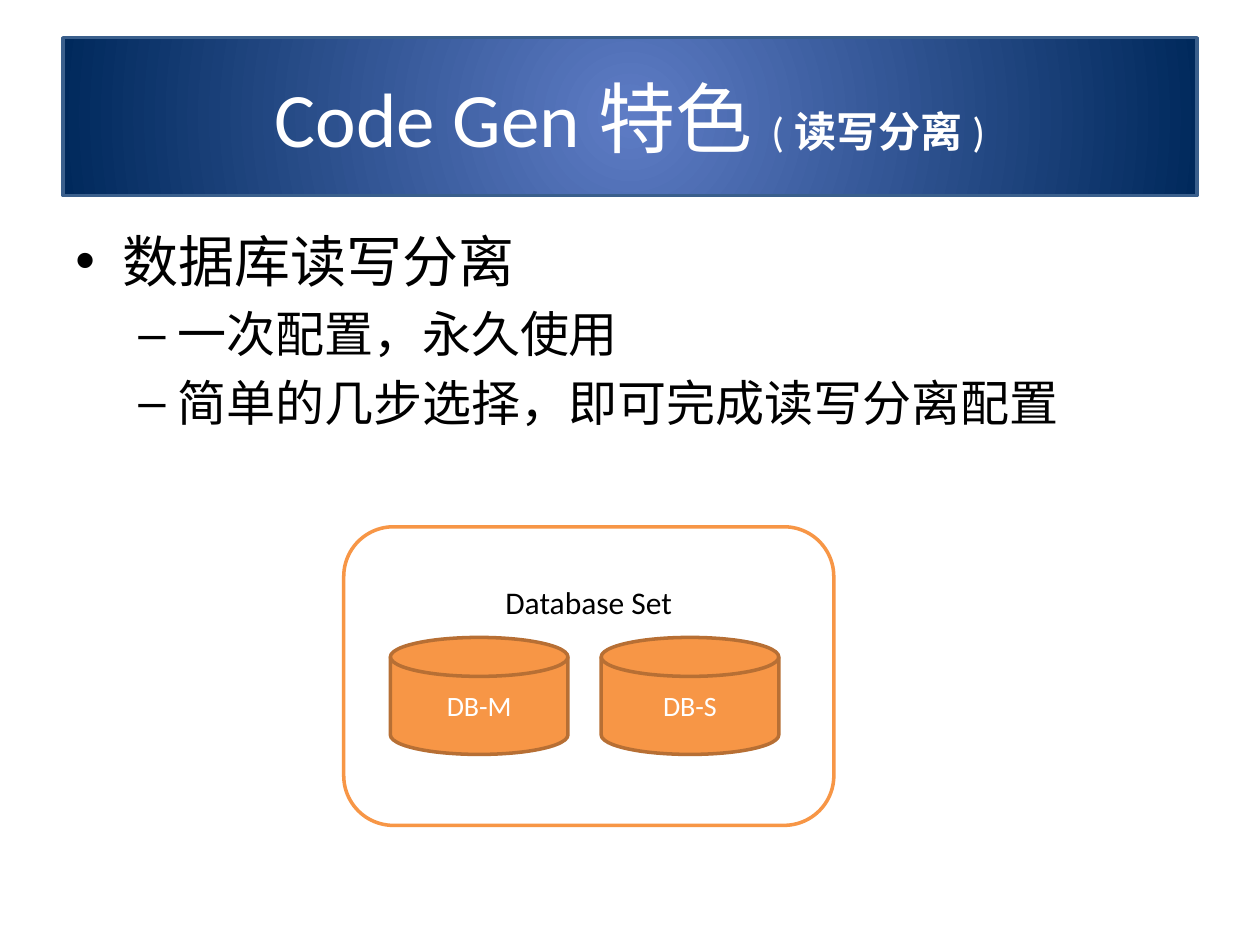
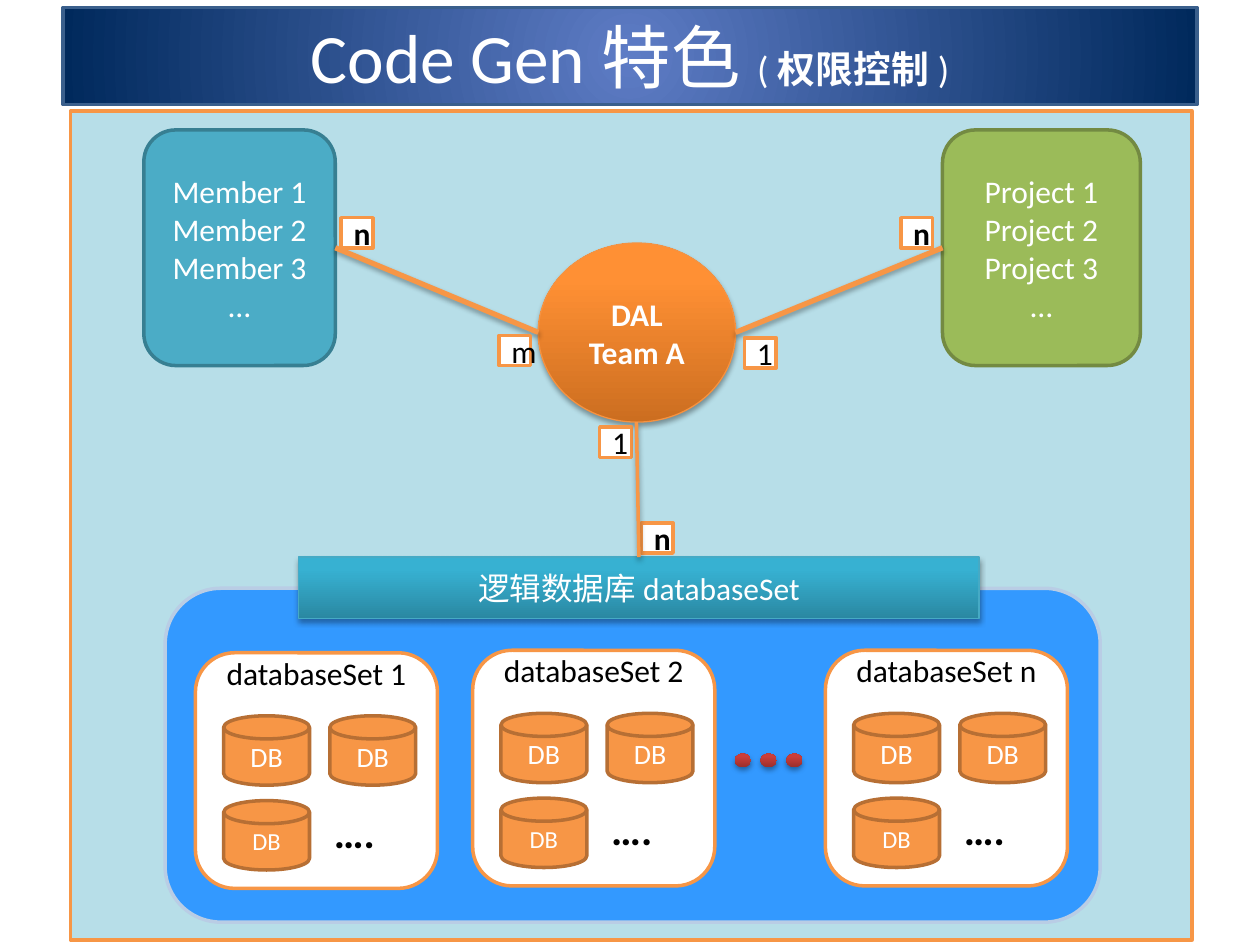
from lxml import etree
from pptx import Presentation
from pptx import util as u
from pptx.dml.color import RGBColor
from pptx.enum import shapes, text
from pptx.oxml import ns

# Colours
WHITE = RGBColor(0xFF, 0xFF, 0xFF)
BLACK = RGBColor(0x00, 0x00, 0x00)
ORANGE = RGBColor(0xF7, 0x96, 0x46)
DARK_ORANGE = RGBColor(0xB7, 0x6F, 0x34)
BAND_CENTRE = RGBColor(0x5E, 0x7C, 0xC5)
BAND_EDGE = RGBColor(0x00, 0x29, 0x5C)
BAND_LINE = RGBColor(0x3A, 0x5F, 0x8C)
PALE_BLUE = RGBColor(0xB7, 0xDE, 0xE8)
TEAL = RGBColor(0x4B, 0xAC, 0xC6)
TEAL_LINE = RGBColor(0x37, 0x7F, 0x92)
GREEN = RGBColor(0x9B, 0xBB, 0x59)
GREEN_LINE = RGBColor(0x73, 0x8A, 0x42)
BLUE = RGBColor(0x33, 0x99, 0xFF)
BLUE_LINE = RGBColor(0xB9, 0xCD, 0xE5)
TEAM_LINE = RGBColor(0xF6, 0x92, 0x40)
BAR_LINE = RGBColor(0x46, 0xAA, 0xC5)
# Gradients run from the bottom colour to the top colour
TEAM_GRADIENT = (RGBColor(0xCC, 0x6E, 0x20), RGBColor(0xFF, 0x90, 0x34))
BAR_GRADIENT = (RGBColor(0x2A, 0x88, 0xA2), RGBColor(0x37, 0xB1, 0xD2))
DOT_GRADIENT = (RGBColor(0x9C, 0x2F, 0x2D), RGBColor(0xCB, 0x3E, 0x3A))

FONT = "Calibri"
TITLE_ONLY = 5
RECTANGLE = shapes.MSO_SHAPE.RECTANGLE
ROUNDED = shapes.MSO_SHAPE.ROUNDED_RECTANGLE
OVAL = shapes.MSO_SHAPE.OVAL
DISK = shapes.MSO_SHAPE.FLOWCHART_MAGNETIC_DISK
LEFT, CENTER = text.PP_ALIGN.LEFT, text.PP_ALIGN.CENTER


def add_xml(parent, tag, **attributes):
    return etree.SubElement(parent, ns.qn(tag), attributes)


class Deck:
    """Holds the shared style and the current slide; lengths are in cm."""

    def __init__(self):
        self.presentation = Presentation()
        self.presentation.slide_width = u.Cm(25.4)
        self.presentation.slide_height = u.Cm(19.05)
        self.slide = None

    def new_slide(self, topic, top, height, size, small_size):
        layout = self.presentation.slide_layouts[TITLE_ONLY]
        self.slide = self.presentation.slides.add_slide(layout)
        title = self.slide.shapes.title
        title.left, title.top = u.Cm(1.27), u.Cm(top)
        title.width, title.height = u.Cm(22.86), u.Cm(height)
        self.gradient(title, (BAND_CENTRE, BAND_EDGE), radial=True)
        self.outline(title, BAND_LINE, 2)
        frame = title.text_frame
        frame.auto_size = text.MSO_AUTO_SIZE.NONE
        frame.vertical_anchor = text.MSO_ANCHOR.MIDDLE
        paragraph = frame.paragraphs[0]
        self.style(paragraph, size, WHITE)
        parts = (("Code Gen特色", size, False), ("(", small_size, False),
                 (topic, small_size, True), (")", small_size, False))
        for words, run_size, bold in parts:
            run = paragraph.add_run()
            run.text = words
            run.font.size = u.Pt(run_size)
            run.font.bold = bold

    def style(self, paragraph, size, color, bold=False, align=CENTER):
        paragraph.alignment = align
        paragraph.font.name = FONT
        paragraph.font.size = u.Pt(size)
        paragraph.font.color.rgb = color
        paragraph.font.bold = bold

    def gradient(self, shape, colors, radial=False):
        shape.fill.gradient()
        shape.fill.gradient_angle = 90
        stops = shape.fill.gradient_stops
        for stop, color, position in zip(stops, colors, (0, 1 if radial else 0.8)):
            stop.color.rgb = color
            stop.position = position
        if radial:
            gradient = shape._element.spPr.find(ns.qn("a:gradFill"))
            gradient.remove(gradient.find(ns.qn("a:lin")))
            circle = add_xml(gradient, "a:path", path="circle")
            add_xml(circle, "a:fillToRect", l="50000", t="50000", r="50000", b="50000")

    def outline(self, shape, color, width):
        if color is None:
            shape.line.fill.background()
        else:
            shape.line.color.rgb = color
            shape.line.width = u.Pt(width)

    def effects(self, shape, shadow):
        effects = add_xml(shape._element.spPr, "a:effectLst")
        if shadow:
            outer = add_xml(effects, "a:outerShdw", blurRad="39400", dist="22900",
                            dir="5400000", rotWithShape="0")
            black = add_xml(outer, "a:srgbClr", val="000000")
            add_xml(black, "a:alpha", val="35000")

    def box(self, kind, left, top, width, height, fill, line, words="", size=18,
            color=WHITE, bold=False, line_width=2, shadow=False):
        shape = self.slide.shapes.add_shape(
            kind, u.Cm(left), u.Cm(top), u.Cm(width), u.Cm(height))
        if isinstance(fill, RGBColor):
            shape.fill.solid()
            shape.fill.fore_color.rgb = fill
        else:
            self.gradient(shape, fill)
        self.outline(shape, line, line_width)
        self.effects(shape, shadow)
        if words:
            shape.text_frame.text = words
            for paragraph in shape.text_frame.paragraphs:
                self.style(paragraph, size, color, bold)
        return shape

    def label(self, left, top, width, height, words, size=18, bold=False):
        shape = self.slide.shapes.add_textbox(
            u.Cm(left), u.Cm(top), u.Cm(width), u.Cm(height))
        frame = shape.text_frame
        frame.word_wrap = True
        frame.margin_top = frame.margin_bottom = 0
        frame.vertical_anchor = text.MSO_ANCHOR.MIDDLE
        frame.text = words
        self.style(frame.paragraphs[0], size, BLACK, bold)

    def bullets(self, left, top, width, height, items):
        shape = self.slide.shapes.add_textbox(
            u.Cm(left), u.Cm(top), u.Cm(width), u.Cm(height))
        frame = shape.text_frame
        frame.word_wrap = True
        frame.text = "\n".join(words for _, words in items)
        # Per level: size, bullet, left margin, hanging indent
        levels = ((32, "•", 0.95, 0.95), (28, "–", 2.06, 0.79))
        for paragraph, (level, _) in zip(frame.paragraphs, items):
            size, bullet, margin, hanging = levels[level]
            paragraph.level = level
            paragraph.space_before = u.Pt(size * 0.2)
            properties = paragraph._p.get_or_add_pPr()
            properties.set("marL", str(u.Cm(margin)))
            properties.set("indent", str(-u.Cm(hanging)))
            add_xml(properties, "a:buFont", typeface="Arial")
            add_xml(properties, "a:buChar", char=bullet)
            self.style(paragraph, size, BLACK, align=LEFT)

    def disk(self, left, top, width, height, words, size=16):
        self.box(DISK, left, top, width, height, ORANGE, DARK_ORANGE, words, size)

    def connect(self, start, target, side, width=3):
        """Draw a line from a point to the middle of a side of the target."""
        x, y = (u.Cm(length) for length in start)
        line = self.slide.shapes.add_connector(
            shapes.MSO_CONNECTOR.STRAIGHT, x, y, x, y)
        line.end_connect(target, side)
        self.outline(line, ORANGE, width)
        self.effects(line, shadow=True)

    def database_set(self, left, top, name):
        self.box(ROUNDED, left, top, 4.88, 4.75, WHITE, ORANGE)
        self.label(left, top, 4.88, 0.8, name)
        for column, row, size in ((0, 0, 16), (1, 0, 16), (0, 1, 14)):
            self.disk(left + 0.57 + 2.14 * column, top + 1.27 + 1.71 * row,
                      1.73, 1.4, "DB", size)
        self.label(left + 2.34, top + 3.1, 1.73, 1, "….", 24, bold=True)


def read_write_slide(deck):
    deck.new_slide("读写分离", 0.76, 3.18, 44, 24)
    deck.bullets(1.27, 4.45, 22.86, 14.07, (
        (0, "数据库读写分离"),
        (1, "一次配置，永久使用"),
        (1, "简单的几步选择，即可完成读写分离配置")))
    # Database set with its two databases
    group = deck.box(ROUNDED, 6.93, 10.62, 9.88, 6.02, WHITE, ORANGE,
                     "Database Set", color=BLACK)
    group.text_frame.vertical_anchor = text.MSO_ANCHOR.TOP
    group.text_frame.margin_top = u.Cm(0.85)
    for index, name in enumerate(("DB-M", "DB-S")):
        deck.disk(7.87 + 4.25 * index, 12.85, 3.58, 2.36, name)


def permission_slide(deck):
    deck.new_slide("权限控制", 0.15, 1.96, 39.6, 21.6)
    deck.box(RECTANGLE, 1.42, 2.24, 22.61, 16.71, PALE_BLUE, ORANGE)
    # Members, projects and the team between them
    members = deck.box(ROUNDED, 2.9, 2.62, 3.86, 4.75, TEAL, TEAL_LINE,
                       "Member 1\nMember 2\nMember 3\n…")
    projects = deck.box(ROUNDED, 19, 2.62, 3.99, 4.75, GREEN, GREEN_LINE,
                        "Project 1\nProject 2\nProject 3\n…")
    deck.box(OVAL, 10.85, 4.9, 3.98, 3.61, TEAM_GRADIENT, TEAM_LINE, "DAL Team A",
             bold=True, line_width=0.75, shadow=True)
    deck.connect((10.85, 6.7), members, 3)
    deck.connect((14.83, 6.7), projects, 1)
    # Multiplicities
    for left, top, words in ((15.01, 6.81, "1"), (12.09, 8.61, "1"),
                             (10.06, 6.76, "m"), (6.88, 4.39, "n"),
                             (18.16, 4.39, "n"), (12.93, 10.54, "n")):
        deck.box(RECTANGLE, left, top, 0.64, 0.61, WHITE, ORANGE, words,
                 color=BLACK, bold=words == "n")
    # Logical database with its sets
    deck.box(ROUNDED, 3.33, 11.86, 18.85, 6.73, BLUE, BLUE_LINE)
    deck.database_set(3.94, 13.16, "databaseSet 1")
    deck.database_set(9.53, 13.11, "databaseSet 2")
    deck.database_set(16.64, 13.11, "databaseSet n")
    for index in range(3):
        deck.box(OVAL, 14.81 + 0.52 * index, 15.19, 0.33, 0.28, DOT_GRADIENT, None,
                 shadow=True)
    bar = deck.box(RECTANGLE, 6.02, 11.23, 13.72, 1.24, BAR_GRADIENT, BAR_LINE,
                   "逻辑数据库databaseSet", line_width=0.75, shadow=True)
    deck.connect((12.83, 8.51), bar, 0, width=2)


def main():
    deck = Deck()
    read_write_slide(deck)
    permission_slide(deck)
    deck.presentation.save("out.pptx")


if __name__ == "__main__":
    main()
